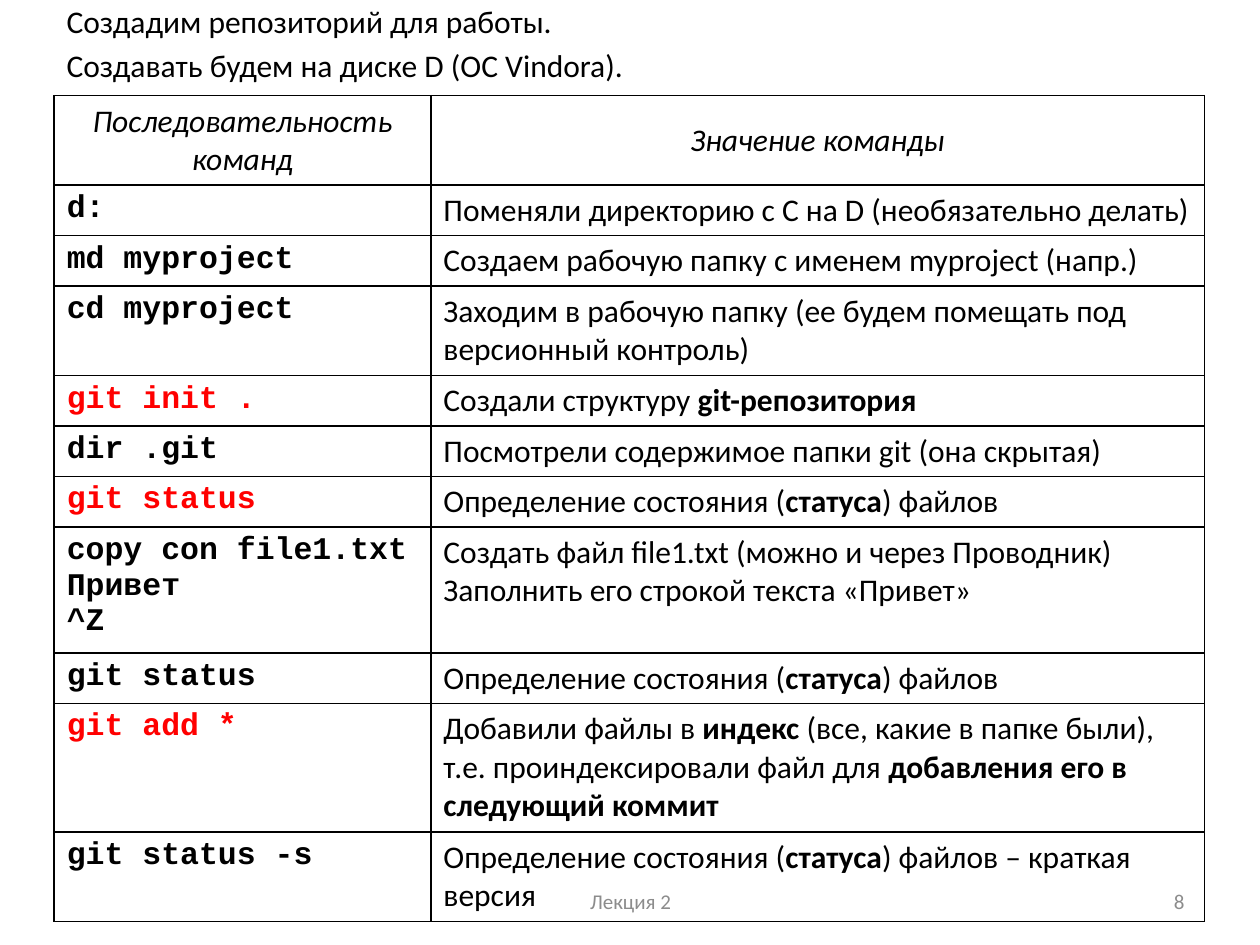
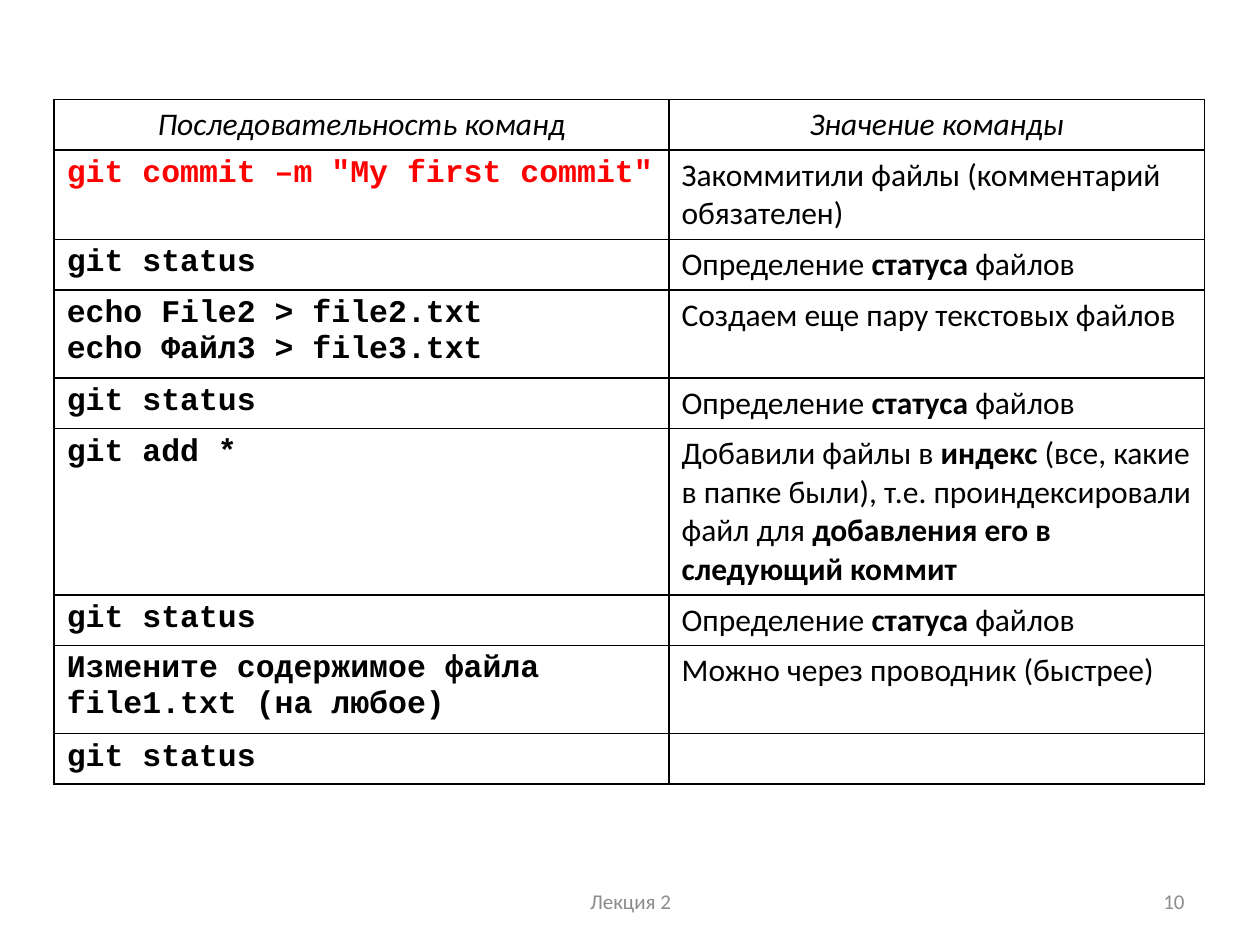
from lxml.etree import SubElement
from pptx import Presentation
from pptx.dml.color import RGBColor
from pptx.enum.text import MSO_ANCHOR as Anchor, PP_ALIGN as Align
from pptx.oxml.ns import qn
from pptx.util import Inches, Pt

COLORS = {"text": "000000", "key": "FF0000", "footer": "8C8C8C", "border": "000000"}
PROSE = {"name": "Calibri", "size": Pt(18), "bold": False, "italic": False}
HEADING = {**PROSE, "italic": True}
COMMAND = {**PROSE, "name": "Courier New", "bold": True}
FOOTER = {**PROSE, "size": Pt(12)}

LEFT = 0.43
LECTURE = "Лекция 2"
HEADINGS = ("Последовательность команд", "Значение команды")
INTRO = "Создадим репозиторий для работы.\nСоздавать будем на диске D (ОС Vindora)."
STATE = "Определение состояния (**статуса**) файлов"
STATUS = "Определение **статуса** файлов"
INDEXED = ("Добавили файлы в **индекс **(все, какие в папке были), т.е. "
           "проиндексировали файл для **добавления его в следующий коммит**")

SETUP_STEPS = [
    ("d:", "Поменяли директорию с C на D (необязательно делать)", 0.4, "text"),
    ("md myproject", "Создаем рабочую папку с именем myproject (напр.)", 0.4, "text"),
    ("cd myproject", "Заходим в рабочую папку (ее будем помещать под версионный контроль)",
     0.71, "text"),
    ("git init .", "Создали структуру **git-репозитория**", 0.4, "key"),
    ("dir .git", "Посмотрели содержимое папки git (она скрытая)", 0.4, "text"),
    ("git status", STATE, 0.4, "key"),
    ("copy con file1.txt\nПривет\n^Z",
     "Создать файл file1.txt (можно и через Проводник)\n"
     "Заполнить его строкой текста «Привет»", 0.9, "text"),
    ("git status", STATE, 0.4, "text"),
    ("git add *", INDEXED, 1.02, "key"),
    ("git status -s", STATE + " – краткая версия", 0.71, "text"),
]
COMMIT_STEPS = [
    ('git commit –m "My first commit"', "Закоммитили файлы (комментарий обязателен)",
     0.71, "key"),
    ("git status", STATUS, 0.4, "text"),
    ("echo File2 > file2.txt\necho Файл3 > file3.txt",
     "Создаем еще пару текстовых файлов", 0.62, "text"),
    ("git status", STATUS, 0.4, "text"),
    ("git add *", INDEXED, 1.32, "text"),
    ("git status", STATUS, 0.4, "text"),
    ("Измените содержимое файла file1.txt (на любое)",
     "Можно через проводник (быстрее)", 0.62, "text"),
    ("git status", "", 0.4, "text"),
]


def write(frame, text, style, color="text", **layout):
    """Write lines as paragraphs, with **marked** parts in bold."""
    for number, line in enumerate(text.split("\n")):
        paragraph = frame.add_paragraph() if number else frame.paragraphs[0]
        for name, value in layout.items():
            setattr(paragraph, name, value)
        for position, part in enumerate(line.split("**")):
            if not part:
                continue
            run = paragraph.add_run()
            run.text = part
            for name, value in style.items():
                setattr(run.font, name, value)
            run.font.bold = style["bold"] or position % 2 == 1
            run.font.color.rgb = RGBColor.from_string(COLORS[color])


def add_text(slide, box, text, style, color="text", anchor=Anchor.TOP, **layout):
    """Add a wrapped text box."""
    frame = slide.shapes.add_textbox(*map(Inches, box)).text_frame
    frame.word_wrap = True
    frame.vertical_anchor = anchor
    write(frame, text, style, color, **layout)


def add_footer(slide, number):
    """Add the lecture name and the slide number."""
    add_text(slide, (3.42, 6.95, 3.17, 0.4), LECTURE, FOOTER, "footer",
             Anchor.MIDDLE, alignment=Align.CENTER)
    add_text(slide, (7.17, 6.95, 2.33, 0.4), str(number), FOOTER, "footer",
             Anchor.MIDDLE, alignment=Align.RIGHT)


def outline(cell):
    """Give a cell thin borders and no fill."""
    properties = cell._tc.get_or_add_tcPr()
    for side in ("a:lnL", "a:lnR", "a:lnT", "a:lnB"):
        line = SubElement(properties, qn(side), w=str(Pt(1)))
        fill = SubElement(line, qn("a:solidFill"))
        SubElement(fill, qn("a:srgbClr"), val=COLORS["border"])
    cell.fill.background()


def add_commands(slide, top, widths, heading_height, steps):
    """Add the table of commands and their meanings."""
    heights = [heading_height] + [height for _, _, height, _ in steps]
    table = slide.shapes.add_table(
        len(heights), len(widths), Inches(LEFT), Inches(top),
        Inches(sum(widths)), Inches(sum(heights))).table
    table.first_row = table.horz_banding = False
    for column, width in zip(table.columns, widths):
        column.width = Inches(width)
    for row, height in zip(table.rows, heights):
        row.height = Inches(height)
    for cell in table.iter_cells():
        outline(cell)
    for column, heading in enumerate(HEADINGS):
        cell = table.cell(0, column)
        cell.vertical_anchor = Anchor.MIDDLE
        write(cell.text_frame, heading, HEADING, alignment=Align.CENTER)
    for row, (command, meaning, _, color) in enumerate(steps, 1):
        write(table.cell(row, 0).text_frame, command, COMMAND, color)
        write(table.cell(row, 1).text_frame, meaning, PROSE)


def main():
    """Build both slides and save the deck."""
    deck = Presentation()
    deck.slide_width, deck.slide_height = Inches(10), Inches(7.5)
    blank = deck.slide_layouts[6]

    setup = deck.slides.add_slide(blank)
    add_footer(setup, 8)
    add_text(setup, (LEFT, -0.03, 9.26, 0.87), INTRO, PROSE,
             alignment=Align.JUSTIFY, space_before=Pt(3.6))
    add_commands(setup, 0.76, (2.99, 6.14), 0.71, SETUP_STEPS)

    commit = deck.slides.add_slide(blank)
    add_footer(commit, 10)
    add_commands(commit, 0.79, (4.88, 4.25), 0.4, COMMIT_STEPS)

    deck.save("out.pptx")


main()
